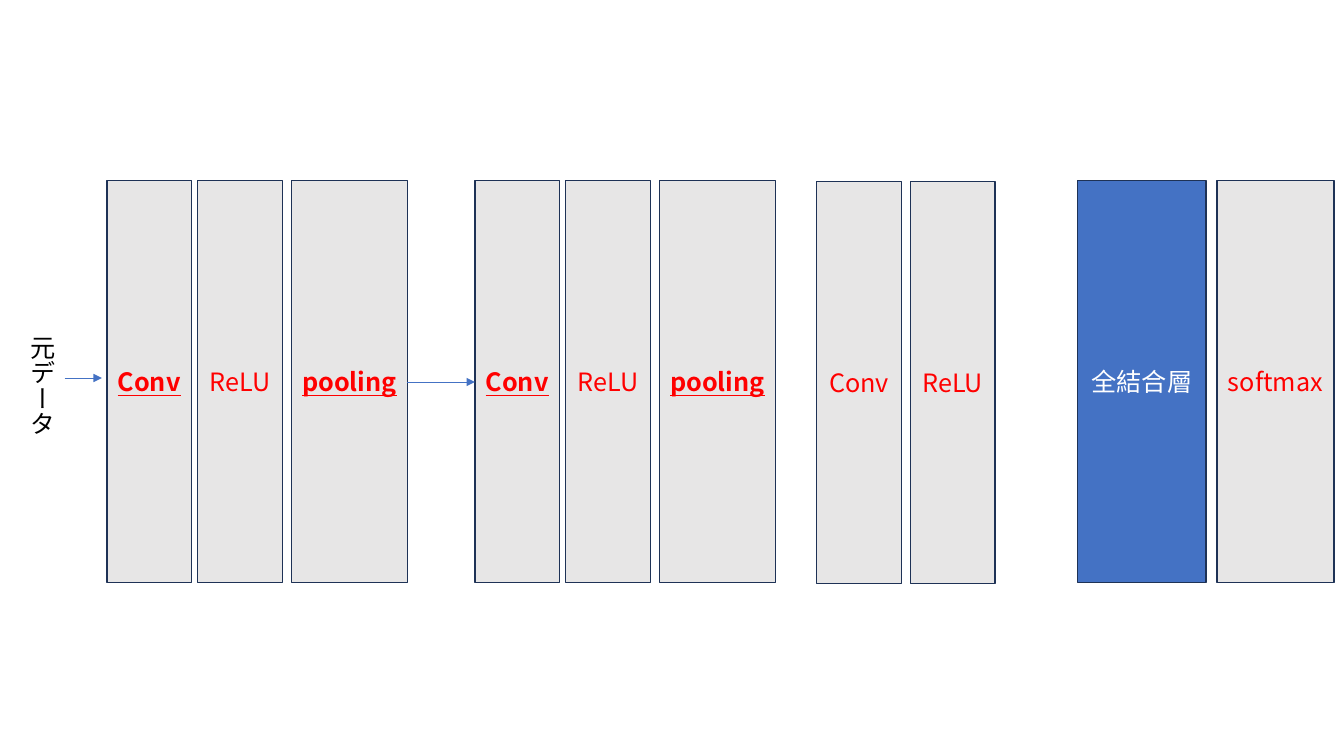
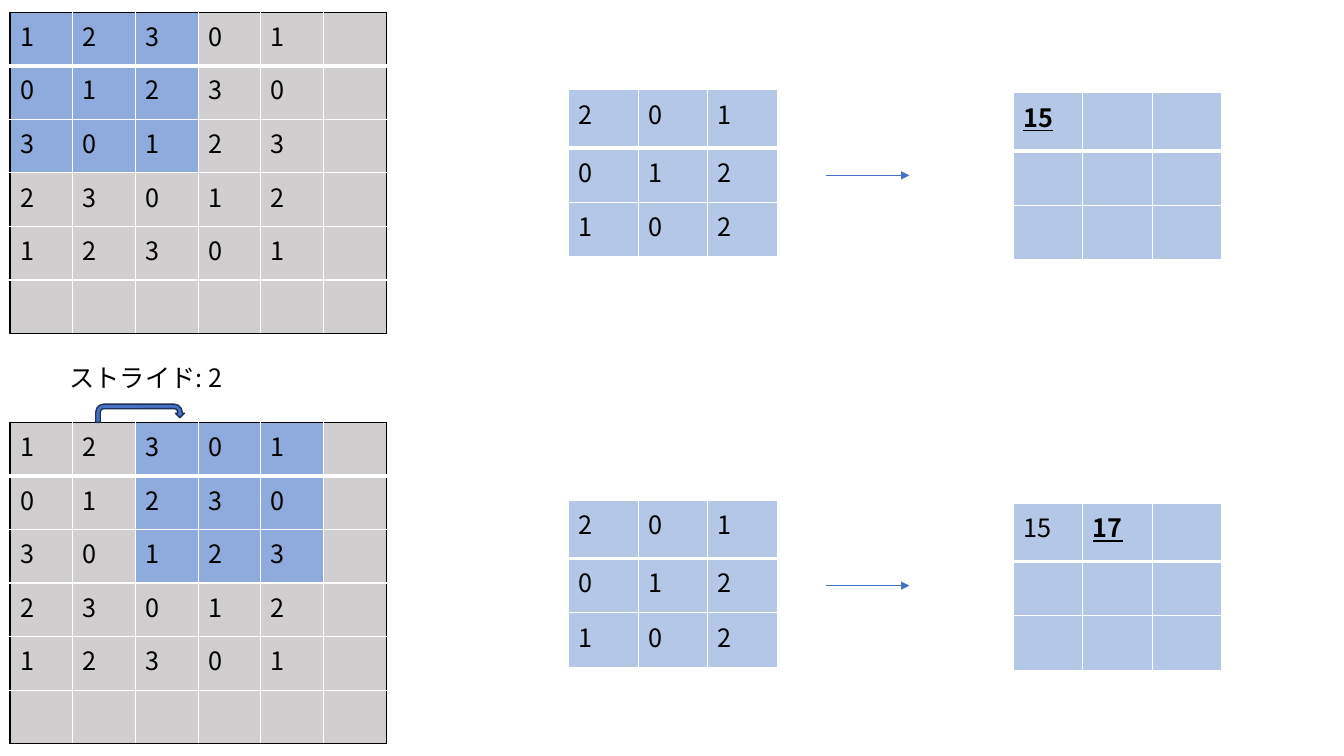
"""Build two slides on convolutional networks: the layer stack and a stride-2 convolution."""
from dataclasses import dataclass
from typing import Sequence

from lxml import etree
from pptx import Presentation, util as u
from pptx.dml.color import RGBColor
from pptx.enum import shapes, text
from pptx.oxml import ns

FONT = "Noto Sans CJK JP"
SIZE = 18
BLACK = RGBColor(0x00, 0x00, 0x00)
WHITE = RGBColor(0xFF, 0xFF, 0xFF)
RED = RGBColor(0xFF, 0x00, 0x00)
BLUE = RGBColor(0x44, 0x72, 0xC4)
NAVY = RGBColor(0x1E, 0x32, 0x56)
PALE_GRAY = RGBColor(0xE7, 0xE6, 0xE6)
GRAY = RGBColor(0xD0, 0xCE, 0xCE)
WINDOW_BLUE = RGBColor(0x8F, 0xAA, 0xDC)
PALE_BLUE = RGBColor(0xB4, 0xC7, 0xE7)


@dataclass(frozen=True)
class Layer:
    label: str
    left: float
    width: float = 0.84
    top: float = 1.79
    strong: bool = False
    fill: RGBColor = PALE_GRAY
    color: RGBColor = RED


@dataclass(frozen=True)
class Grid:
    left: float
    top: float
    rows: Sequence[str]
    col_width: float
    row_heights: Sequence[float]
    fill: RGBColor
    edge: RGBColor = WHITE
    window_col: int | None = None
    strong: str | None = None


@dataclass(frozen=True)
class Step:
    top: float
    window_col: int
    result: str
    strong: str


LAYERS = (
    Layer("Conv", 1.06, strong=True),
    Layer("ReLU", 1.96),
    Layer("pooling", 2.89, 1.15, strong=True),
    Layer("Conv", 4.71, strong=True),
    Layer("ReLU", 5.61),
    Layer("pooling", 6.54, 1.15, strong=True),
    Layer("Conv", 8.1, top=1.8),
    Layer("ReLU", 9.03, top=1.8),
    Layer("全結合層", 10.69, 1.27, fill=BLUE, color=WHITE),
    Layer("softmax", 12.07, 1.16),
)
LAYER_HEIGHT = 3.99
INPUT_ROWS = ("1 2 3 0 1 ", "0 1 2 3 0 ", "3 0 1 2 3 ", "2 3 0 1 2 ", "1 2 3 0 1 ", "     ")
KERNEL_ROWS = ("2 0 1", "0 1 2", "1 0 2")
EMPTY_ROW = "  "
INPUT_HEIGHTS = (3.19 / 6,) * 6
SMALL_HEIGHTS = (0.58, 0.54, 0.54)
WINDOW = 3
STEPS = (
    Step(0.12, 0, "15  ", "15"),
    Step(4.19, 2, "15 17 ", "17"),
)


def write(tf, content: str, *, color: RGBColor = BLACK, strong: bool = False,
          align=text.PP_ALIGN.LEFT, wrap: bool | None = None) -> None:
    p = tf.paragraphs[0]
    p.alignment = align
    r = p.add_run()
    r.text = content
    r.font.name, r.font.size = FONT, u.Pt(SIZE)
    r.font.color.rgb = color
    if strong:
        r.font.bold = r.font.underline = True
    ea = etree.SubElement(r.font._element, ns.qn("a:ea"))
    ea.set("typeface", FONT)
    if wrap is not None:
        tf.word_wrap = wrap


def add_block(s, kind, left: float, top: float, width: float, height: float, fill: RGBColor):
    sp = s.shapes.add_shape(kind, *map(u.Inches, (left, top, width, height)))
    sp.shadow.inherit = False
    sp.fill.solid()
    sp.fill.fore_color.rgb = fill
    sp.line.color.rgb = NAVY
    sp.line.width = u.Pt(1)
    return sp


def add_layer(s, layer: Layer) -> None:
    sp = add_block(s, shapes.MSO_SHAPE.RECTANGLE, layer.left, layer.top, layer.width,
                   LAYER_HEIGHT, layer.fill)
    sp.text_frame.vertical_anchor = text.MSO_ANCHOR.MIDDLE
    write(sp.text_frame, layer.label, color=layer.color, strong=layer.strong,
          align=text.PP_ALIGN.CENTER, wrap=False)


def add_label(s, content: str, left: float, top: float, width: float, height: float, *,
              vertical: bool = False):
    tf = s.shapes.add_textbox(*map(u.Inches, (left, top, width, height))).text_frame
    write(tf, content, wrap=not vertical)
    if vertical:
        tf._txBody.bodyPr.set("vert", "eaVert")


def add_arrow(s, x1: float, x2: float, y: float) -> None:
    c = s.shapes.add_connector(shapes.MSO_CONNECTOR.STRAIGHT,
                               *map(u.Inches, (x1, y, x2, y)))
    c.line.color.rgb = BLUE
    c.line.width = u.Pt(0.5)
    etree.SubElement(c.line._get_or_add_ln(), ns.qn("a:tailEnd")).set("type", "triangle")
    etree.SubElement(c._element.spPr, ns.qn("a:effectLst"))


def set_border(cell, index: int, side: str, color: RGBColor, width: float) -> None:
    ln = etree.Element(ns.qn(f"a:ln{side}"), w=str(u.Pt(width)))
    fill = etree.SubElement(ln, ns.qn("a:solidFill"))
    etree.SubElement(fill, ns.qn("a:srgbClr")).set("val", str(color))
    cell._tc.get_or_add_tcPr().insert(index, ln)


def add_grid(s, grid: Grid) -> None:
    n = len(grid.rows)
    size = (grid.left, grid.top, grid.col_width * n, sum(grid.row_heights))
    table = s.shapes.add_table(n, n, *map(u.Inches, size)).table
    table.first_row = table.horz_banding = False
    for column in table.columns:
        column.width = u.Inches(grid.col_width)
    for i, (row, height) in enumerate(zip(grid.rows, grid.row_heights)):
        table.rows[i].height = u.Inches(height)
        for j, value in enumerate(row.split(" ")):
            cell = table.cell(i, j)
            in_window = (grid.window_col is not None and i < WINDOW
                         and 0 <= j - grid.window_col < WINDOW)
            cell.fill.solid()
            cell.fill.fore_color.rgb = WINDOW_BLUE if in_window else grid.fill
            if value:
                write(cell.text_frame, value, strong=value == grid.strong)
            borders = (("L", j == 0, 1), ("R", j == n - 1, 1),
                       ("T", i == 0, 3 if i == 1 else 1),
                       ("B", i == n - 1, 3 if i == 0 else 1))
            for k, (side, outer, width) in enumerate(borders):
                set_border(cell, k, side, grid.edge if outer else WHITE, width)


def add_step(s, step: Step) -> None:
    add_grid(s, Grid(0.1, step.top, INPUT_ROWS, 3.73 / 6, INPUT_HEIGHTS, GRAY,
                     edge=BLACK, window_col=step.window_col))
    add_grid(s, Grid(5.64, step.top + 0.77, KERNEL_ROWS, 0.69, SMALL_HEIGHTS, PALE_BLUE))
    add_arrow(s, 8.19, 9.02, step.top + 1.62)
    add_grid(s, Grid(10.05, step.top + 0.8, (step.result, EMPTY_ROW, EMPTY_ROW), 0.69,
                     SMALL_HEIGHTS, PALE_BLUE, strong=step.strong))


def build_network(s) -> None:
    add_label(s, "元データ", 0.12, 3.23, 0.5, 1.11, vertical=True)
    for layer in LAYERS:
        add_layer(s, layer)
    add_arrow(s, 0.64, 1.01, 3.75)
    add_arrow(s, 4.04, 4.71, 3.79)


def build_convolution(s) -> None:
    for step in STEPS:
        add_step(s, step)
    add_label(s, "ストライド: 2", 0.59, 3.55, 1.75, 0.4)
    add_block(s, shapes.MSO_SHAPE.U_TURN_ARROW, 0.95, 4.01, 0.88, 0.18, BLUE)


def main() -> None:
    prs = Presentation()
    prs.slide_width, prs.slide_height = u.Inches(13.33), u.Inches(7.5)
    for build in (build_network, build_convolution):
        build(prs.slides.add_slide(prs.slide_layouts[6]))
    prs.save("out.pptx")


if __name__ == "__main__":
    main()
